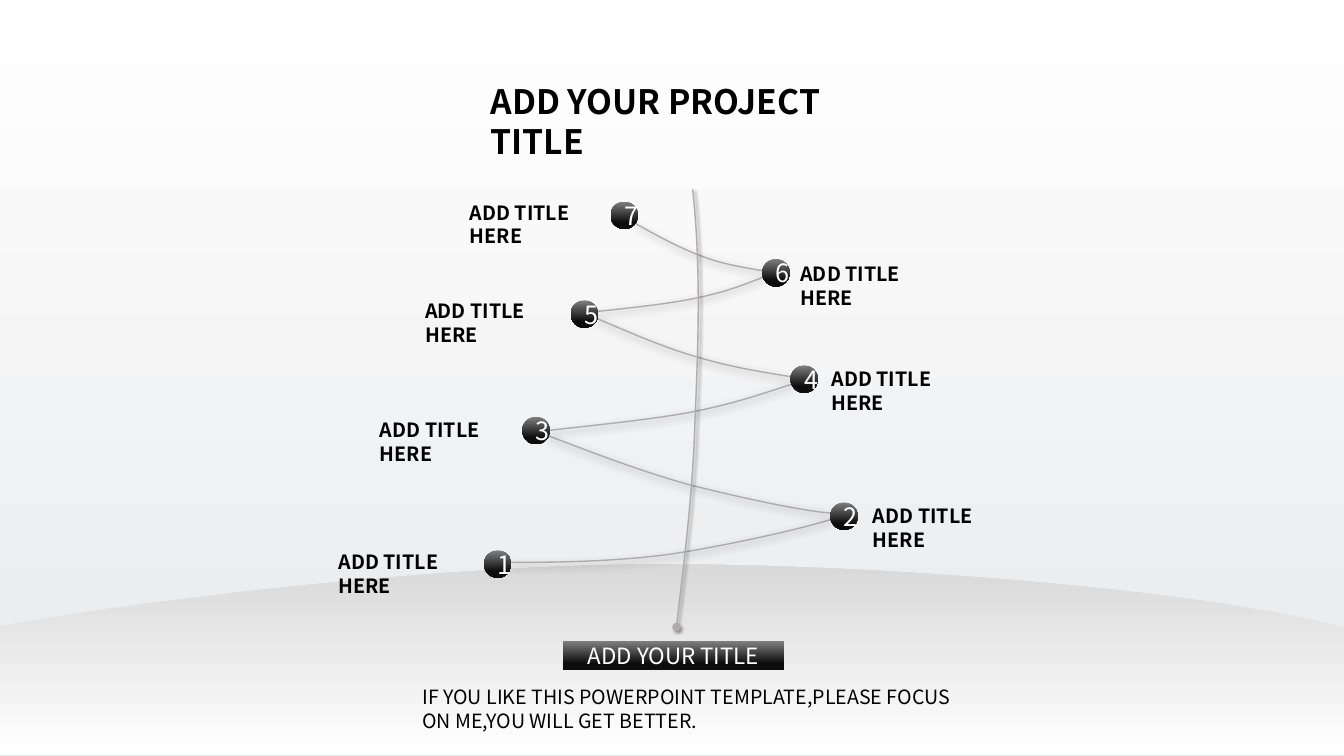
from lxml import etree
from pptx import Presentation
from pptx.dml.color import RGBColor
from pptx.enum.shapes import MSO_SHAPE
from pptx.enum.text import MSO_ANCHOR, MSO_AUTO_SIZE, PP_ALIGN
from pptx.oxml.ns import qn
from pptx.util import Inches, Pt

OVAL, BAR = MSO_SHAPE.OVAL, MSO_SHAPE.RECTANGLE
MIDDLE, TOP = MSO_ANCHOR.MIDDLE, MSO_ANCHOR.TOP
CENTER, LEFT = PP_ALIGN.CENTER, PP_ALIGN.LEFT
GROW, FIXED = MSO_AUTO_SIZE.SHAPE_TO_FIT_TEXT, MSO_AUTO_SIZE.NONE

# Grid of 133.3 columns by 75 rows, each cell a tenth of an inch
CELL = Inches(0.1)
COLUMNS, ROWS = 133.3, 75
BALL = 2.73
DARK = [(0, "808080"), (0.76, "0D0D0D")]


def paint(target, colours, angle=None):
    """Paint a fill with one hex colour, or with gradient stops and an angle."""
    if angle is None:
        target.solid()
        target.fore_color.rgb = RGBColor.from_string(colours)
        return
    target.gradient()
    target.gradient_angle = angle
    for stop, (position, colour) in zip(target.gradient_stops, colours):
        stop.position = position
        stop.color.rgb = RGBColor.from_string(colour)


def write(box, text, size, colour, bold=False, align=LEFT, anchor=TOP, grow=GROW):
    frame = box.text_frame
    frame.word_wrap = True
    frame.auto_size = grow
    frame.vertical_anchor = anchor
    para = frame.paragraphs[0]
    para.alignment = align
    span = para.add_run()
    span.text = text
    style = {"name": "Noto Sans CJK SC", "size": Pt(size), "bold": bold}
    for key, value in style.items():
        setattr(span.font, key, value)
    paint(span.font.fill, colour)


deck = Presentation()
deck.slide_width, deck.slide_height = int(COLUMNS * CELL), ROWS * CELL
page = deck.slides.add_slide(deck.slide_layouts[6])
shapes = page.shapes
paint(page.background.fill, [(0, "FFFFFF"), (1, "E8E9EB")], 270)

# Outlines: a start point, then one point per line (L) or three per curve (C)
hill = [(66.2, 56), (88.4, 56), (120.7, 58.7), (COLUMNS, 62.3),
        (COLUMNS, 74.9), (0, 74.9), (0, 62.1), (2.4, 61.7),
        (16.5, 59.3), (45.3, 55.9), (66.2, 56)]
threads = [
    [(50.6, 55.8), (55.8, 55.8), (61, 55.7), (66.4, 55),
     (71.7, 54.2), (79.5, 52.5), (82.5, 51.5)],
    [(54.3, 43.2), (59, 45), (63.7, 46.8), (68.4, 48.1),
     (73.1, 49.3), (80, 50.8), (82.5, 50.9)],
    [(54.5, 42.7), (59.7, 42.1), (65, 41.6), (69, 40.8),
     (73, 40), (75.8, 39), (78.6, 38.1)],
    [(59.2, 31.6), (62.5, 33), (65.9, 34.5), (69.1, 35.4),
     (72.4, 36.4), (75.5, 36.9), (78.6, 37.4)],
    [(59.2, 30.9), (63, 30.5), (66.7, 30.1), (69.4, 29.5),
     (72.2, 28.9), (73.9, 28.2), (75.7, 27.5)],
    [(62.9, 22.1), (65, 23.3), (67.2, 24.5), (69.3, 25.3),
     (71.5, 26.2), (73.6, 26.5), (75.8, 26.9)],
]
spine = [(68.7, 18.8), (69.6, 27), (69.2, 35.3), (68.9, 42.5),
         (68.7, 49.7), (67.3, 60.1), (67.1, 62.2)]

# Number, ball left and top, label left and top
balls = [
    (1, 48, 54.6, 32.6, 54.1), (2, 82.35, 49.85, 85.6, 49.5),
    (3, 51.8, 41.35, 36.7, 41), (4, 78.4, 36.25, 81.5, 35.95),
    (5, 56.6, 29.8, 41.2, 29.2), (6, 75.6, 25.7, 78.4, 25.5),
    (7, 60.55, 20, 45.6, 19.4),
]

# Hill, threads and spine; the spine is moved to the front at the end
for points in [hill, *threads, spine]:
    cells = [(x * CELL, y * CELL) for x, y in points]
    builder = shapes.build_freeform(*cells[0], scale=1)
    builder.add_line_segments(cells[1:], close=points is hill)
    outline = builder.convert_to_shape()
    outline.shadow.inherit = False
    properties = outline._element.spPr

    # Join the three points of each curve into one Bezier segment
    lines = iter(list(properties.iter(qn("a:lnTo"))))
    for segment in "CLLLLC" if points is hill else "CC":
        first = next(lines)
        if segment == "C":
            first.tag = qn("a:cubicBezTo")
            for extra in (next(lines), next(lines)):
                first.append(extra[0])
                extra.getparent().remove(extra)

    if points is hill:
        paint(outline.fill, [(0, "FFFFFF"), (1, "D9D9D9")], 90)
        outline.line.fill.background()
        continue
    outline.fill.background()
    paint(outline.line.fill, "AFABAB")
    outline.line.width = Pt(1)
    blur, angle = (2, 45) if points is spine else (6, 90)
    shadow = etree.SubElement(properties.find(qn("a:effectLst")), qn("a:outerShdw"),
                              blurRad=str(Pt(blur)), dist=str(Pt(2)),
                              dir=str(angle * 60000), algn="t", rotWithShape="0")
    tint = etree.SubElement(shadow, qn("a:srgbClr"), val="000000")
    etree.SubElement(tint, qn("a:alpha"), val="40000")
    if points is spine:
        etree.SubElement(properties.find(qn("a:ln")), qn("a:tailEnd"), type="oval")
        spine_shape = outline

# Numbered balls and the banner
dark_shapes = [(OVAL, left, top, BALL, BALL, str(number), 18)
               for number, left, top, _, _ in balls]
dark_shapes.append((BAR, 55.8, 63.6, 22, 2.9, "ADD YOUR TITLE", 16))
for kind, left, top, width, height, text, size in dark_shapes:
    shape = shapes.add_shape(kind, *[int(v * CELL) for v in (left, top, width, height)])
    shape.shadow.inherit = False
    shape.line.fill.background()
    paint(shape.fill, DARK, 270)
    write(shape, text, size, "FFFFFF", align=CENTER, anchor=MIDDLE, grow=FIXED)

# Labels, closing line and heading
texts = [(left, top, 15.1, 3.4, "ADD TITLE HERE", 14, True)
         for _, _, _, left, top in balls]
texts += [
    (40.9, 67.5, 55, 5.7, "IF YOU LIKE THIS POWERPOINT TEMPLATE,PLEASE FOCUS "
     "ON ME,YOU WILL GET BETTER.", 14, False),
    (47.7, 7.5, 37.9, 5, "ADD YOUR PROJECT TITLE", 24, True),
]
for left, top, width, height, text, size, bold in texts:
    box = shapes.add_textbox(*[int(v * CELL) for v in (left, top, width, height)])
    write(box, text, size, "000000", bold)

shapes._spTree.append(spine_shape._element)
deck.save("out.pptx")
